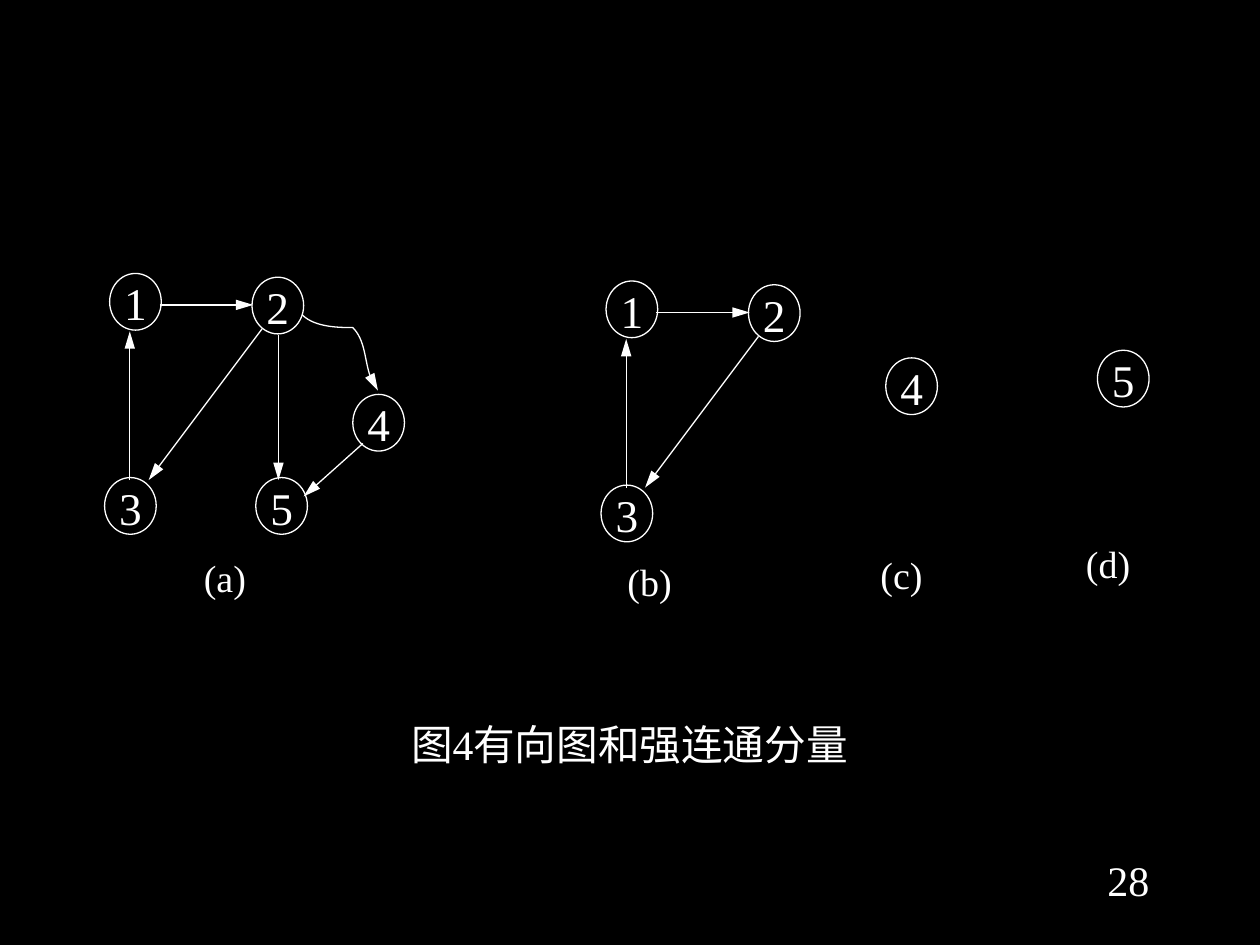
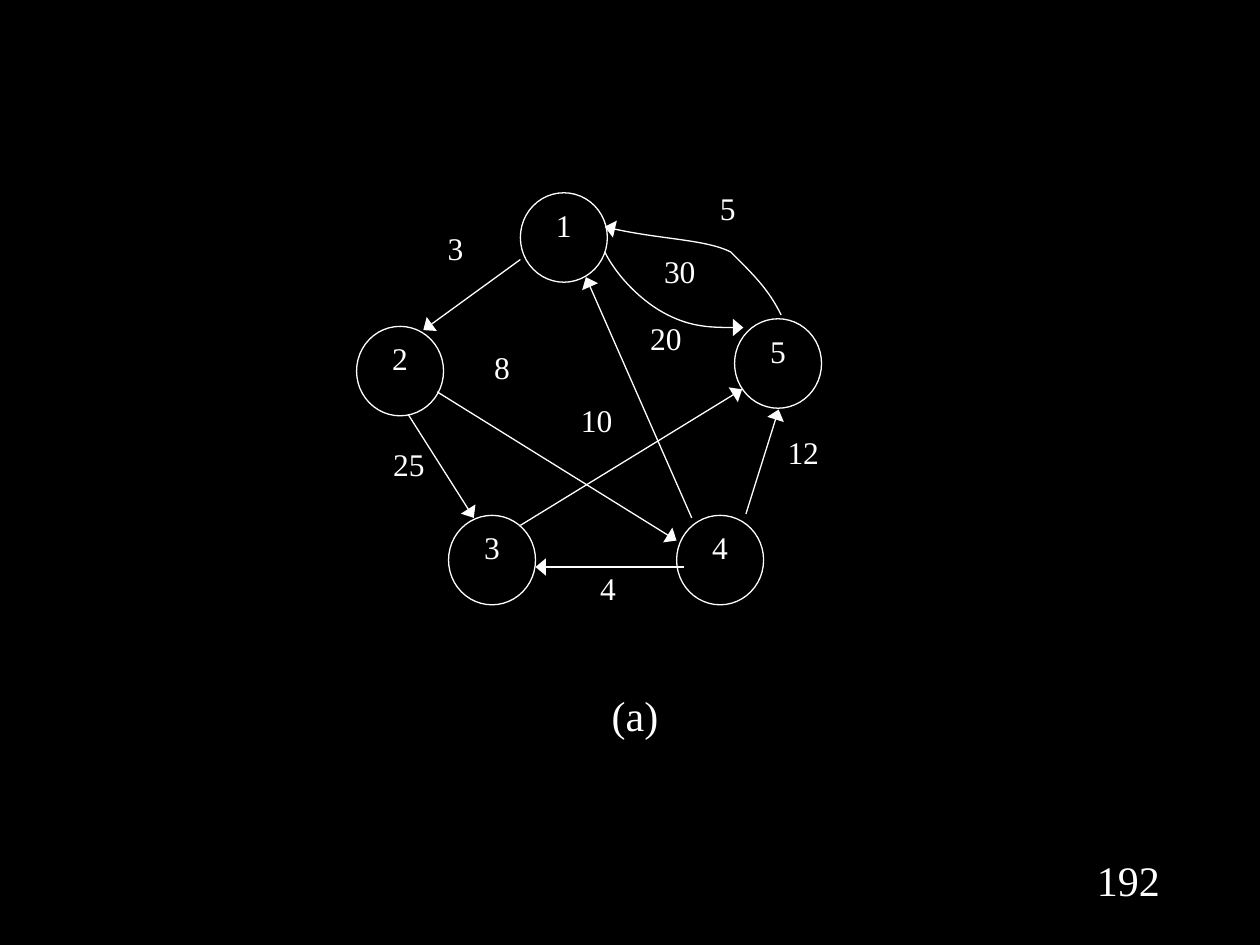
"""Build two slides of directed graphs on a grid of 100 columns by 75 rows."""
from dataclasses import dataclass

from lxml import etree
from pptx import Presentation
from pptx import util as u
from pptx.dml.color import RGBColor
from pptx.enum import shapes, text
from pptx.oxml import ns

COLUMNS, ROWS = 100, 75
CELL = u.Inches(0.1)


@dataclass(frozen=True)
class Theme:
    ink: RGBColor = RGBColor(255, 255, 255)
    paper: RGBColor = RGBColor(0, 0, 0)
    latin: str = "Times New Roman"
    chinese: str = "Noto Sans CJK SC"
    line: float = 0.75
    node: float = 25.9
    caption: float = 23.8
    subcaption: float = 21.7
    weight: float = 18
    large: float = 24


THEME = Theme()
PAGE_BOX = (85.8, 67.3, 7.5, 5)
CAPTION = ("图4有向图和强连通分量", (25.8, 57.5, 48.3, 4.2))

SMALL_NODE = (4.1, 4.5)
SMALL_ARROW = {"w": "med", "len": "lg"}
CYCLE_OFFSETS = [(0, 0), (39.4, 0.6)]
CYCLE_NODES = {"1": (8.7, 21.7), "2": (20, 22), "3": (8.3, 37.9)}
CYCLE_EDGES = [
    ((12.7, 24.2), (20.1, 24.2)),
    ((10.3, 38.1), (10.3, 26.3)),
    ((20.8, 26.1), (11.8, 38.1)),
]
OTHER_NODES = [("4", (28, 31.3)), ("5", (20.3, 37.9)), ("4", (70.3, 28.4)), ("5", (87.1, 27.8))]
OTHER_EDGES = [((22.1, 26.6), (22.1, 38.1)), ((28.8, 35.2), (24.1, 39.4))]
CURVE_2_TO_4 = [(23.9, 25.4), (25.3, 25.5), (26.7, 25.6), (27.7, 26.5),
                (28.7, 27.4), (29.3, 30.1), (29.7, 30.8)]
SUBCAPTION_SIZE = (11.7, 4)
SUBCAPTIONS = {"(a)": (12, 44.7), "(b)": (45.7, 45), "(c)": (65.7, 44.5), "(d)": (82.1, 43.6)}

LARGE_NODE = (6.9, 7.1)
LARGE_ARROW = {"w": "lg", "len": "med"}
NETWORK_NODES = {"1": (41.3, 15.3), "2": (28.3, 25.9), "3": (35.6, 40.9),
                 "4": (53.7, 40.9), "5": (58.3, 25.3)}
NETWORK_EDGES = [
    ((41.3, 20.6), (33.6, 26.2)),
    ((54.9, 41.1), (46.5, 22)),
    ((54.3, 45), (42.5, 45)),
    ((32.4, 32.9), (37.6, 41.1)),
    ((34.7, 31.1), (53.7, 42.9)),
    ((59.2, 40.8), (61.8, 32.5)),
    ((41.3, 41.7), (58.9, 30.9)),
]
NETWORK_CURVES = [
    [(62.3, 25.3), (61.3, 23.4), (60.4, 21.5), (58, 20.3),
     (55.6, 19.1), (51.8, 18.7), (48, 18.2)],
    [(47.6, 20), (49.4, 22.1), (51.3, 24.2), (53.1, 25.3),
     (54.9, 26.3), (56.7, 26.4), (58.6, 26.4)],
]
WEIGHT_SIZE = (7.5, 5.6)
WEIGHTS = {"12": (60, 34.4), "20": (49.1, 25.3), "10": (43.6, 31.8), "8": (36.1, 27.6),
           "3": (32.4, 18.2), "30": (50.2, 20), "5": (54, 15), "25": (28.7, 35.3),
           "4": (44.5, 45.2)}
NETWORK_SUBCAPTION = ("(a)", (35.8, 54.2, 29.2, 5))


def cells(*values):
    return [u.Emu(round(value * CELL)) for value in values]


def write(shape, words, size, spacing=None, padding=(0, 0)):
    frame = shape.text_frame
    frame.word_wrap = True
    frame.vertical_anchor = text.MSO_ANCHOR.TOP
    frame.margin_left = frame.margin_right = u.Inches(padding[0])
    frame.margin_top = frame.margin_bottom = u.Inches(padding[1])
    paragraph = frame.paragraphs[0]
    paragraph.alignment = text.PP_ALIGN.CENTER
    if spacing:
        paragraph.line_spacing = spacing
    run = paragraph.add_run()
    run.text = words
    run.font.size = u.Pt(size)
    run.font.name = THEME.latin
    run.font.color.rgb = THEME.ink
    properties = run._r.get_or_add_rPr()
    etree.SubElement(properties, ns.qn("a:ea"), typeface=THEME.chinese)


def add_label(slide, words, box, size, **style):
    write(slide.shapes.add_textbox(*cells(*box)), words, size, **style)


def add_node(slide, name, corner, extent, size, **style):
    node = slide.shapes.add_shape(shapes.MSO_SHAPE.OVAL, *cells(*corner, *extent))
    node.shadow.inherit = False
    node.fill.background()
    node.line.color.rgb = THEME.ink
    node.line.width = u.Pt(THEME.line)
    write(node, name, size, **style)


def style_arrow(arrow, head):
    arrow.line.color.rgb = THEME.ink
    arrow.line.width = u.Pt(THEME.line)
    outline = arrow._element.spPr.find(ns.qn("a:ln"))
    etree.SubElement(outline, ns.qn("a:tailEnd"), type="triangle", **head)


def add_edge(slide, start, end, head):
    edge = slide.shapes.add_connector(shapes.MSO_CONNECTOR.STRAIGHT, *cells(*start, *end))
    style_arrow(edge, head)
    etree.SubElement(edge._element.spPr, ns.qn("a:effectLst"))


def add_curve(slide, points, head):
    builder = slide.shapes.build_freeform(*points[0], scale=float(CELL))
    builder.add_line_segments(points[1:], close=False)
    curve = builder.convert_to_shape()
    curve.shadow.inherit = False
    curve.fill.background()
    style_arrow(curve, head)
    outline = curve._element.find(".//" + ns.qn("a:path"))
    steps = outline.findall(ns.qn("a:lnTo"))
    for first in range(0, len(steps), 3):
        bezier = etree.SubElement(outline, ns.qn("a:cubicBezTo"))
        for step in steps[first:first + 3]:
            bezier.append(step[0])
            outline.remove(step)


def add_slide(presentation, number):
    slide = presentation.slides.add_slide(presentation.slide_layouts[6])
    slide.background.fill.solid()
    slide.background.fill.fore_color.rgb = THEME.paper
    add_label(slide, number, PAGE_BOX, THEME.large, padding=(0.1, 0.05))
    return slide


def build_components(presentation):
    slide = add_slide(presentation, "28")
    add_label(slide, *CAPTION, THEME.caption, spacing=0.9)
    nodes, edges = list(OTHER_NODES), list(OTHER_EDGES)
    for right, down in CYCLE_OFFSETS:
        nodes += [(name, (x + right, y + down)) for name, (x, y) in CYCLE_NODES.items()]
        edges += [[(x + right, y + down) for x, y in edge] for edge in CYCLE_EDGES]
    for name, corner in nodes:
        add_node(slide, name, corner, SMALL_NODE, THEME.node, spacing=0.9)
    for start, end in edges:
        add_edge(slide, start, end, SMALL_ARROW)
    add_curve(slide, CURVE_2_TO_4, SMALL_ARROW)
    for name, corner in SUBCAPTIONS.items():
        add_label(slide, name, corner + SUBCAPTION_SIZE, THEME.subcaption, spacing=0.8)


def build_network(presentation):
    slide = add_slide(presentation, "192")
    for weight, corner in WEIGHTS.items():
        add_label(slide, weight, corner + WEIGHT_SIZE, THEME.weight)
    for name, corner in NETWORK_NODES.items():
        add_node(slide, name, corner, LARGE_NODE, THEME.weight)
    for start, end in NETWORK_EDGES:
        add_edge(slide, start, end, LARGE_ARROW)
    for points in NETWORK_CURVES:
        add_curve(slide, points, LARGE_ARROW)
    add_label(slide, *NETWORK_SUBCAPTION, THEME.large, padding=(0.1, 0.05))


def main():
    presentation = Presentation()
    presentation.slide_width, presentation.slide_height = cells(COLUMNS, ROWS)
    build_components(presentation)
    build_network(presentation)
    presentation.save("out.pptx")


if __name__ == "__main__":
    main()
